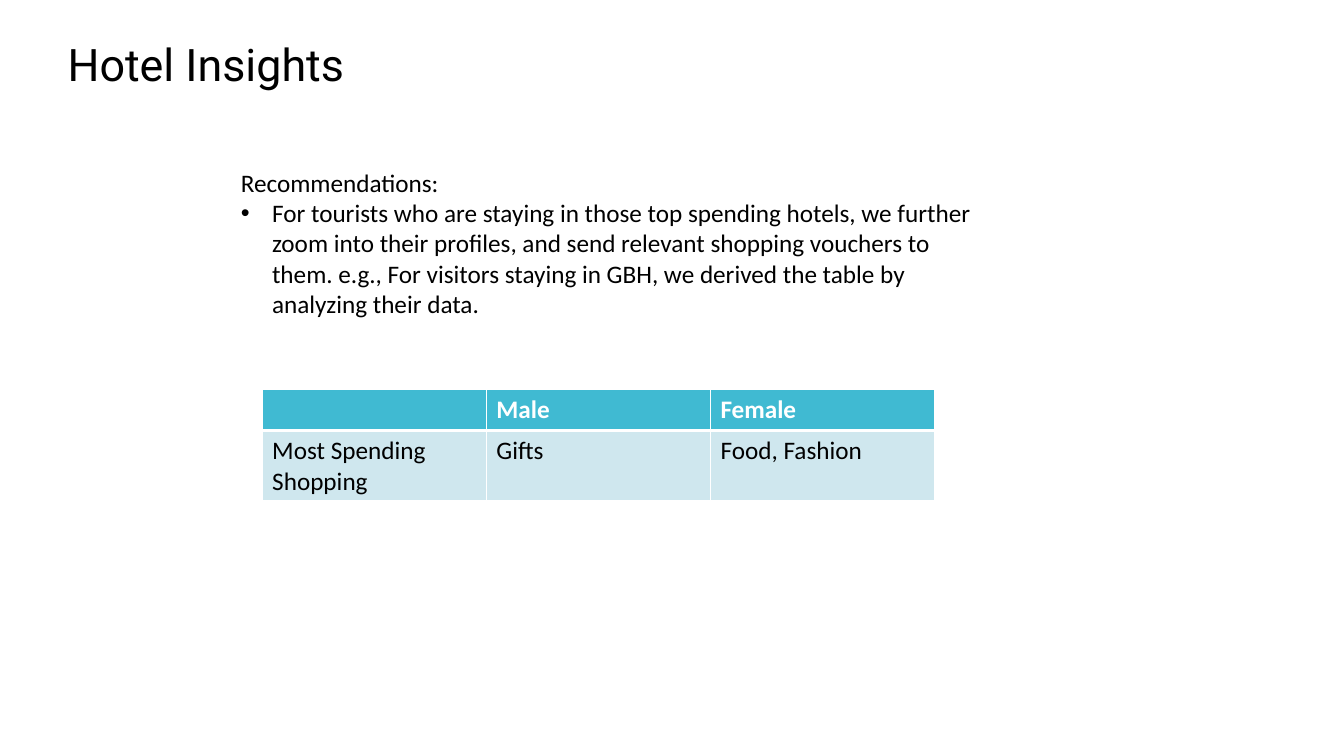
import pptx
import pptx.util
import pptx.dml.color
import pptx.enum.text
import pptx.oxml.ns
import lxml.etree

THEME = {
    "title_font": "Roboto", "body_font": "Calibri",
    "title_size": 32, "body_size": 18,
    "ink": "000000", "white": "FFFFFF",
    "header_fill": "40BAD2", "row_fill": "CFE7EE",
}
Inches = pptx.util.Inches


def format_text(paragraph, font, size, color, bold=False):
    paragraph.alignment = pptx.enum.text.PP_ALIGN.LEFT
    for run in paragraph.runs:
        run.font.name = font
        run.font.size = pptx.util.Pt(size)
        run.font.bold = bold
        run.font.color.rgb = pptx.dml.color.RGBColor.from_string(color)


def add_border(cell, side, points):
    properties = cell._tc.get_or_add_tcPr()
    line = lxml.etree.SubElement(properties, pptx.oxml.ns.qn(f"a:ln{side}"),
                                 w=str(pptx.util.Pt(points)))
    fill = lxml.etree.SubElement(line, pptx.oxml.ns.qn("a:solidFill"))
    lxml.etree.SubElement(fill, pptx.oxml.ns.qn("a:srgbClr"), val=THEME["white"])


presentation = pptx.Presentation()
presentation.slide_width = Inches(13.33)
presentation.slide_height = Inches(7.5)
slide = presentation.slides.add_slide(presentation.slide_layouts[5])

# Title
title = slide.shapes.title
title.left, title.top, title.width, title.height = map(Inches, (0.57, 0.19, 4.58, 0.89))
title.text_frame.text = "Hotel Insights"
title.text_frame.vertical_anchor = pptx.enum.text.MSO_ANCHOR.MIDDLE
format_text(title.text_frame.paragraphs[0], THEME["title_font"],
            THEME["title_size"], THEME["ink"])

# Recommendations
recommendations = slide.shapes.add_textbox(*map(Inches, (2.29, 1.61, 7.62, 1.62)))
frame = recommendations.text_frame
frame.word_wrap = True
frame.text = (
    "Recommendations:\n"
    "For tourists who are staying in those top spending hotels, we further zoom into "
    "their profiles, and send relevant shopping vouchers to them. e.g., For visitors "
    "staying in GBH, we derived the table by analyzing their data."
)
for paragraph in frame.paragraphs:
    format_text(paragraph, THEME["body_font"], THEME["body_size"], THEME["ink"])

# Bullet with hanging indent
bullet_properties = frame.paragraphs[1]._p.get_or_add_pPr()
bullet_properties.set("marL", str(Inches(0.31)))
bullet_properties.set("indent", str(-Inches(0.31)))
lxml.etree.SubElement(bullet_properties, pptx.oxml.ns.qn("a:buFont"), typeface="Arial")
lxml.etree.SubElement(bullet_properties, pptx.oxml.ns.qn("a:buChar"), char="•")

# Spending table
spending = [
    ["", "Male", "Female"],
    ["Most Spending Shopping", "Gifts", "Food, Fashion"],
]
row_heights = [0.41, 0.7]
table = slide.shapes.add_table(len(spending), len(spending[0]), Inches(2.6), Inches(3.86),
                               Inches(6.67), Inches(sum(row_heights))).table
for row_index, (labels, height) in enumerate(zip(spending, row_heights)):
    table.rows[row_index].height = Inches(height)
    header = row_index == 0
    borders = {"L": 1, "R": 1, "T": 1 if header else 3, "B": 3 if header else 1}
    for column_index, label in enumerate(labels):
        cell = table.cell(row_index, column_index)
        for side, points in borders.items():
            add_border(cell, side, points)
        cell.fill.solid()
        cell.fill.fore_color.rgb = pptx.dml.color.RGBColor.from_string(
            THEME["header_fill" if header else "row_fill"])
        if label:
            cell.text_frame.text = label
            format_text(cell.text_frame.paragraphs[0], THEME["body_font"], THEME["body_size"],
                        THEME["white" if header else "ink"], bold=header)

presentation.save("out.pptx")
